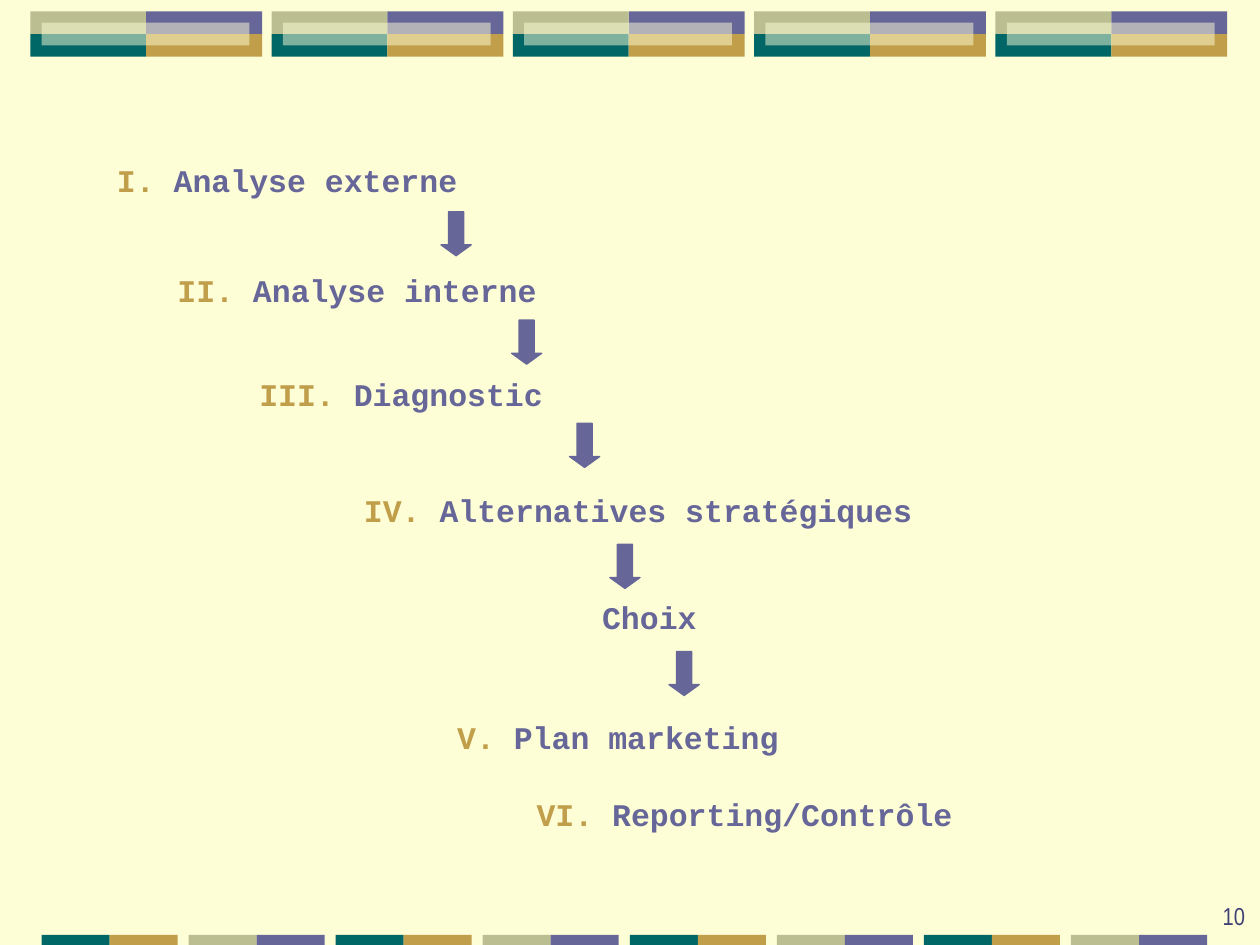
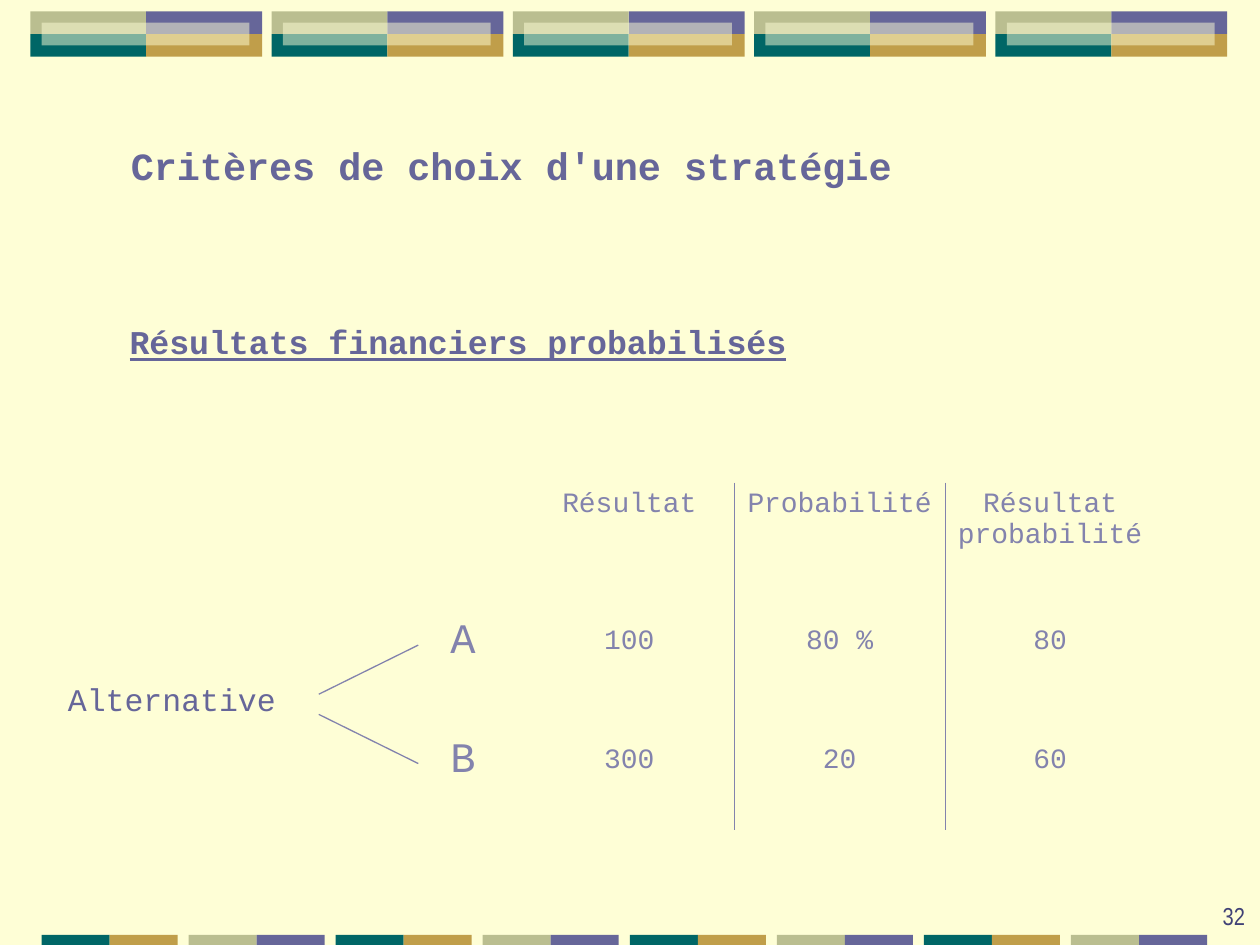
"""Builds two slides on marketing planning and on the choice of a strategy."""
from dataclasses import dataclass
from typing import Any

from lxml import etree
from pptx import Presentation
from pptx import util as u
from pptx.dml.color import RGBColor
from pptx.enum import shapes, text
from pptx.oxml import ns

CREAM = RGBColor(0xFE, 0xFE, 0xD6)
VIOLET = RGBColor(0x66, 0x66, 0x99)
LILAC = RGBColor(0x83, 0x83, 0xAD)
GOLD = RGBColor(0xC0, 0x9E, 0x4A)
TEAL = RGBColor(0x00, 0x66, 0x66)
SAGE = RGBColor(0xBA, 0xBE, 0x90)
NAVY = RGBColor(0x40, 0x41, 0x76)
MONO = "Courier New"
NARROW = "Arial Narrow"
NO_STYLE = "{2D5ABB26-0587-4C30-8999-92F81FD0307C}"


@dataclass
class Box:
    left: float
    top: float
    width: float
    height: float

    def sides(self) -> tuple[u.Length, ...]:
        return tuple(u.Inches(n) for n in (self.left, self.top, self.width, self.height))


@dataclass
class Look:
    size: float
    color: RGBColor = VIOLET
    bold: bool = False
    line: bool = False
    face: str = MONO


@dataclass
class Step:
    mark: str
    label: str
    box: Box


STEPS = (
    Step("I.", " Analyse externe", Box(0.83, 1.23, 2.91, 0.4)),
    Step("II.", " Analyse interne", Box(1.31, 2.1, 3.06, 0.4)),
    Step("III.", " Diagnostic", Box(1.96, 2.93, 2.46, 0.4)),
    Step("IV.", " Alternatives stratégiques", Box(2.79, 3.85, 4.56, 0.4)),
    Step("", "Choix", Box(4.68, 4.7, 0.95, 0.4)),
    Step("V.", " Plan marketing", Box(3.53, 5.65, 2.76, 0.4)),
    Step("VI.", " Reporting/Contrôle", Box(4.16, 6.26, 3.51, 0.4)),
)
ARROWS = ((3.5, 1.68), (4.06, 2.54), (4.52, 3.36), (4.84, 4.32), (5.31, 5.17))
COLS = (0.97, 1.67, 1.67, 1.67)
ROWS = (0.87, 0.79, 1.1)
CELLS = (
    ("", "Résultat", "Probabilité", "Résultat probabilité"),
    ("A", "100", "80 %", "80"),
    ("B", "300", "20", "60"),
)


def add_run(para: Any, words: str, look: Look) -> None:
    """Append one styled run to a paragraph."""
    run = para.add_run()
    run.text = words
    font = run.font
    font.name, font.size = look.face, u.Pt(look.size)
    font.bold, font.underline = look.bold, look.line
    font.color.rgb = look.color


def add_text(slide: Any, box: Box, *runs: tuple[str, Look]) -> Any:
    """Add a one-line text box and return its frame."""
    frame = slide.shapes.add_textbox(*box.sides()).text_frame
    frame.word_wrap = False
    for words, look in runs:
        add_run(frame.paragraphs[0], words, look)
    return frame


def add_block(slide: Any, box: Box, color: RGBColor,
              kind: Any = shapes.MSO_SHAPE.RECTANGLE) -> Any:
    """Add a plain filled shape without an outline."""
    block = slide.shapes.add_shape(kind, *box.sides())
    block.shadow.inherit = False
    block.fill.solid()
    block.fill.fore_color.rgb = color
    block.line.fill.background()
    return block


def add_veil(slide: Any, box: Box) -> None:
    """Add a half-clear cream strip."""
    veil = add_block(slide, box, CREAM)
    tint = veil.fill._xPr.find(ns.qn("a:solidFill"))[0]
    etree.SubElement(tint, ns.qn("a:alpha"), val="50000")


def add_arrow(slide: Any, left: float, top: float) -> None:
    """Add a small arrow that points down to the next step."""
    arrow = add_block(slide, Box(left, top, 0.24, 0.35), VIOLET,
                      shapes.MSO_SHAPE.DOWN_ARROW)
    arrow.adjustments[0], arrow.adjustments[1] = 0.5, 0.36
    arrow.line.color.rgb = VIOLET
    arrow.line.width = u.Pt(0.75)


def add_line(slide: Any, start: tuple[float, float], end: tuple[float, float]) -> None:
    """Add one thin branch line."""
    line = slide.shapes.add_connector(
        shapes.MSO_CONNECTOR.STRAIGHT, *(u.Inches(n) for n in start + end))
    line.line.color.rgb = LILAC
    line.line.width = u.Pt(0.75)
    etree.SubElement(line._element.spPr, ns.qn("a:effectLst"))


def add_frame(deck: Any, page: str) -> Any:
    """Add a slide with its two bands and page number."""
    slide = deck.slides.add_slide(deck.slide_layouts[6])
    wide, tall = 0.92, 0.18
    for i in range(5):
        left, top = 0.24 + i * (7.9 - 0.24) / 4, 0.09
        for j, color in enumerate((SAGE, VIOLET, TEAL, GOLD)):
            row, col = divmod(j, 2)
            add_block(slide, Box(left + col * wide, top + row * tall, wide, tall), color)
        add_veil(slide, Box(left + 0.09, top + tall / 2, 1.65, tall))
    for i in range(8):
        left = 0.33 + i * (8.5 - 0.33) / 7
        for j, color in enumerate((SAGE, VIOLET) if i % 2 else (TEAL, GOLD)):
            add_block(slide, Box(left + j * 0.54, 7.42, 0.54, 0.08), color)
    frame = add_text(slide, Box(7.9, 6.93, 2.08, 0.5),
                     (page, Look(14, NAVY, face=NARROW)))
    frame.word_wrap = True
    frame.vertical_anchor = text.MSO_ANCHOR.BOTTOM
    frame.paragraphs[0].alignment = text.PP_ALIGN.RIGHT
    return slide


def add_edge(cell: Any, side: str) -> None:
    """Draw a hairline on one side of a cell."""
    edge = etree.SubElement(cell._tc.get_or_add_tcPr(), ns.qn(f"a:{side}"),
                            w=str(u.Pt(0.45)))
    fill = etree.SubElement(edge, ns.qn("a:solidFill"))
    etree.SubElement(fill, ns.qn("a:srgbClr"), val=str(LILAC))


def add_grid(slide: Any) -> None:
    """Add the table of weighted results."""
    box = Box(3.19, 3.83, sum(COLS), sum(ROWS))
    grid = slide.shapes.add_table(len(ROWS), len(COLS), *box.sides()).table
    grid.first_row = grid.horz_banding = False
    grid._tbl.tblPr.find(ns.qn("a:tableStyleId")).text = NO_STYLE
    for col, width in zip(grid.columns, COLS):
        col.width = u.Inches(width)
    for r, height in enumerate(ROWS):
        grid.rows[r].height = u.Inches(height)
        for c, words in enumerate(CELLS[r]):
            cell = grid.cell(r, c)
            if c > 1:
                add_edge(cell, "lnL")
            if c in (1, 2):
                add_edge(cell, "lnR")
            cell.fill.background()
            cell.vertical_anchor = text.MSO_ANCHOR.MIDDLE if r else text.MSO_ANCHOR.TOP
            para = cell.text_frame.paragraphs[0]
            para.alignment = text.PP_ALIGN.CENTER
            if words:
                add_run(para, words, Look(16 if c else 24, LILAC))


def add_plan(deck: Any) -> None:
    """Build the slide with the steps of the plan."""
    slide = add_frame(deck, "10")
    for step in STEPS:
        runs = [(step.label, Look(18, bold=True))]
        if step.mark:
            runs.insert(0, (step.mark, Look(18, GOLD, bold=True)))
        add_text(slide, step.box, *runs)
    for left, top in ARROWS:
        add_arrow(slide, left, top)


def add_choice(deck: Any) -> None:
    """Build the slide with the criteria of choice."""
    slide = add_frame(deck, "32")
    add_text(slide, Box(0.94, 1.08, 6.26, 0.47),
             ("Critères de choix d'une stratégie", Look(22, bold=True)))
    add_text(slide, Box(0.93, 2.5, 5.43, 0.42),
             ("Résultats financiers probabilisés", Look(19, bold=True, line=True)))
    add_text(slide, Box(0.44, 5.35, 1.85, 0.4), ("Alternative", Look(18)))
    add_grid(slide)
    add_line(slide, (2.53, 5.51), (3.32, 5.12))
    add_line(slide, (2.53, 5.67), (3.32, 6.06))


def main() -> None:
    """Build and save the deck."""
    deck = Presentation()
    deck.slide_width, deck.slide_height = u.Inches(10), u.Inches(7.5)
    back = deck.slide_master.background.fill
    back.solid()
    back.fore_color.rgb = CREAM
    add_plan(deck)
    add_choice(deck)
    deck.save("out.pptx")


if __name__ == "__main__":
    main()
